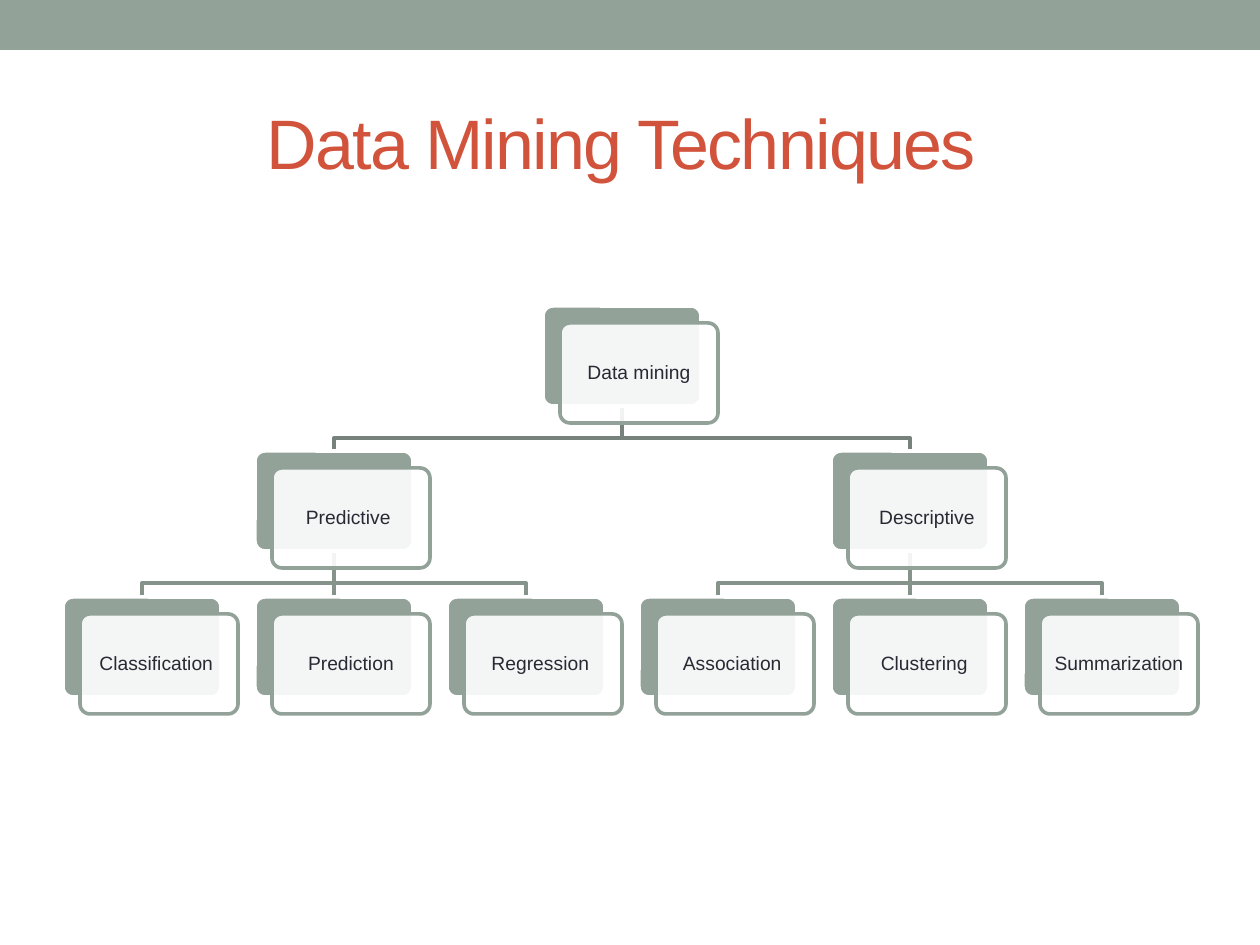
from lxml.etree import SubElement
from pptx import Presentation
from pptx.dml.color import RGBColor
from pptx.enum.shapes import MSO_CONNECTOR, MSO_SHAPE
from pptx.enum.text import MSO_ANCHOR, PP_ALIGN
from pptx.oxml.ns import qn
from pptx.util import Emu, Pt

PX = 914400 / 126
SAGE, WHITE, RUST, INK = "93A299", "FFFFFF", "D2533C", "292934"
LINE_W = 2.08
CARD_W, CARD_H, OFFSET = 158, 100, 17
LEFT, COL_STEP = 63, 192
ROW_TOPS = (306, 451, 597)
BEND = 32  # drop from a parent card to the horizontal bar
BAR_COLORS = ("76827B", "85938B")

# name: (text, column, row, parent)
NODES = {
    "root": ("Data mining", 2.5, 0, None),
    "predictive": ("Predictive ", 1, 1, "root"),
    "descriptive": ("Descriptive", 4, 1, "root"),
    "classification": ("Classification ", 0, 2, "predictive"),
    "prediction": ("Prediction", 1, 2, "predictive"),
    "regression": ("Regression ", 2, 2, "predictive"),
    "association": ("Association ", 3, 2, "descriptive"),
    "clustering": ("Clustering ", 4, 2, "descriptive"),
    "summarization": ("Summarization ", 5, 2, "descriptive"),
}


def px(n):
    return Emu(round(n * PX))


def rgb(color):
    return RGBColor.from_string(color)


def style_line(line, color):
    line.color.rgb = rgb(color)
    line.width = Pt(LINE_W)


def add_box(slide, kind, x, y, w, h, fill, line=None, alpha=None):
    """Add a filled preset shape; alpha is the opacity in percent."""
    sp = slide.shapes.add_shape(kind, px(x), px(y), px(w), px(h))
    sp.shadow.inherit = False
    sp.fill.solid()
    sp.fill.fore_color.rgb = rgb(fill)
    if alpha is not None:
        clr = sp._element.spPr.find(qn("a:solidFill"))[0]
        SubElement(clr, qn("a:alpha"), val=str(alpha * 1000))
    if line:
        style_line(sp.line, line)
    else:
        sp.line.fill.background()
    return sp


def set_text(sp, text, size, color, inset=0, line_spacing=None, tracking=None):
    tf = sp.text_frame
    tf.word_wrap = True
    tf.vertical_anchor = MSO_ANCHOR.MIDDLE
    tf.margin_left = tf.margin_right = px(inset)
    tf.margin_top = tf.margin_bottom = px(inset)
    p = tf.paragraphs[0]
    p.alignment = PP_ALIGN.CENTER
    if line_spacing:
        p.line_spacing = line_spacing
    r = p.add_run()
    r.text = text
    r.font.name = "Arial"
    r.font.size = Pt(size)
    r.font.color.rgb = rgb(color)
    if tracking:
        r._r.get_or_add_rPr().set("spc", str(tracking * 100))


def card_origin(name):
    _, col, row, _ = NODES[name]
    return LEFT + col * COL_STEP, ROW_TOPS[row]


def add_card(slide, name):
    """Draw the back plate and the labelled front card; return the plate."""
    x, y = card_origin(name)
    kind = MSO_SHAPE.ROUNDED_RECTANGLE
    plate = add_box(slide, kind, x, y, CARD_W, CARD_H, SAGE, WHITE)
    front = add_box(slide, kind, x + OFFSET, y + OFFSET, CARD_W, CARD_H,
                    WHITE, SAGE, alpha=90)
    for sp in (plate, front):
        sp.adjustments[0] = 0.1
    set_text(front, NODES[name][0], 11, INK, inset=9, line_spacing=0.9)
    return plate


def add_elbow(slide, points, color):
    start, *rest = [(px(x), px(y)) for x, y in points]
    builder = slide.shapes.build_freeform(*start)
    builder.add_line_segments(rest, close=False)
    sp = builder.convert_to_shape()
    sp.shadow.inherit = False
    sp.fill.background()
    style_line(sp.line, color)


def add_straight(slide, start, end, color):
    cxn = slide.shapes.add_connector(
        MSO_CONNECTOR.STRAIGHT, *(px(n) for n in (*start, *end)))
    style_line(cxn.line, color)
    SubElement(cxn._element.spPr, qn("a:effectLst"))
    return cxn


def add_link(slide, parent, child):
    """Link two cards; return the connector if the link is straight."""
    (x1, y1), (x2, y2) = card_origin(parent), card_origin(child)
    x1, x2, y1 = x1 + CARD_W / 2, x2 + CARD_W / 2, y1 + CARD_H
    color = BAR_COLORS[NODES[parent][2]]
    if x1 == x2:
        return add_straight(slide, (x1, y1), (x2, y2), color)
    bar = y1 + BEND
    add_elbow(slide, [(x1, y1), (x1, bar), (x2, bar), (x2, y2)], color)
    return None


def add_tree(slide):
    # Links go in first so that they lie behind the cards.
    links = {(parent, name): add_link(slide, parent, name)
             for name, (_, _, _, parent) in NODES.items() if parent}
    plates = {name: add_card(slide, name) for name in NODES}
    for (parent, child), cxn in links.items():
        if cxn is not None:
            cxn.begin_connect(plates[parent], 2)
            cxn.end_connect(plates[child], 0)


def main():
    prs = Presentation()
    prs.slide_width, prs.slide_height = px(1260), px(945)
    slide = prs.slides.add_slide(prs.slide_layouts[6])
    add_box(slide, MSO_SHAPE.RECTANGLE, 0, 0, 1260, 50, SAGE)
    title = slide.shapes.add_textbox(px(63), px(73), px(1134), px(136))
    set_text(title, "Data Mining Techniques ", 40, RUST, inset=6, tracking=-1)
    add_tree(slide)
    prs.save("out.pptx")


if __name__ == "__main__":
    main()
